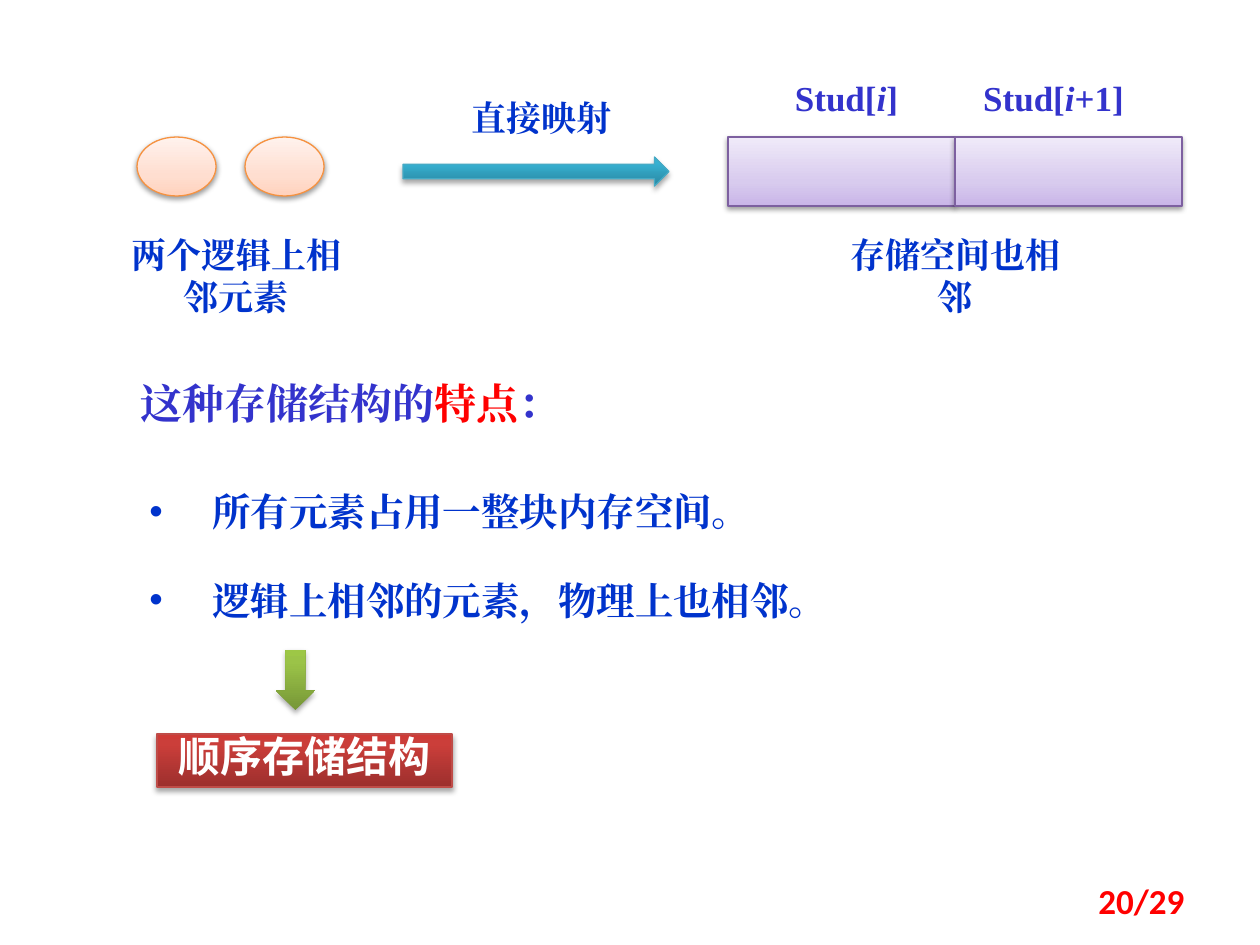
import pptx
import pptx.dml.color
import pptx.enum.shapes
import pptx.enum.text
import pptx.oxml
import pptx.oxml.ns
import pptx.util
from lxml import etree

RGBColor = pptx.dml.color.RGBColor
SHAPE = pptx.enum.shapes.MSO_SHAPE
ALIGN = pptx.enum.text.PP_ALIGN
ANCHOR = pptx.enum.text.MSO_ANCHOR

INDIGO = RGBColor(0x33, 0x33, 0xCC)
BLUE = RGBColor(0x00, 0x33, 0xCC)
RED = RGBColor(0xFF, 0x00, 0x00)
WHITE = RGBColor(0xFF, 0xFF, 0xFF)
VIOLET_LINE = RGBColor(0x7D, 0x60, 0xA0)
ORANGE_LINE = RGBColor(0xF6, 0x92, 0x40)
TEAL_LINE = RGBColor(0x46, 0xAA, 0xC5)
RED_LINE = RGBColor(0xBF, 0x4C, 0x48)

# Gradients run from bottom to top: position in percent, colour
VIOLET = [(0, RGBColor(0xC9, 0xB5, 0xE8)), (35, RGBColor(0xD8, 0xCB, 0xEE)), (100, RGBColor(0xF0, 0xEA, 0xF9))]
PEACH = [(0, RGBColor(0xFF, 0xD2, 0xBD)), (35, RGBColor(0xFF, 0xDE, 0xD0)), (100, RGBColor(0xFF, 0xF2, 0xED))]
TEAL = [(0, RGBColor(0x2A, 0x88, 0xA2)), (80, RGBColor(0x37, 0xB1, 0xD2)), (100, RGBColor(0x34, 0xB4, 0xD6))]
GREEN = [(0, RGBColor(0x77, 0x97, 0x37)), (80, RGBColor(0x9B, 0xC3, 0x48)), (100, RGBColor(0x9D, 0xC7, 0x46))]
BRICK = [(0, RGBColor(0x9C, 0x2F, 0x2D)), (80, RGBColor(0xCB, 0x3E, 0x3A)), (100, RGBColor(0xCE, 0x3B, 0x37))]

NAMESPACE = pptx.oxml.ns.nsdecls("a")
EMU_PER_PX = 914400 / 126


def add_shape(kind, box, gradient, line_color, shadow_distance=1.8, shadow_alpha=35):
    shape = slide.shapes.add_shape(kind, *[round(length * EMU_PER_PX) for length in box])
    if line_color is None:
        shape.line.fill.background()
    else:
        shape.line.color.rgb = line_color
        shape.line.width = pptx.util.Pt(0.75)
    stops = "".join(
        f'<a:gs pos="{position * 1000}"><a:srgbClr val="{color}"/></a:gs>'
        for position, color in gradient
    )
    fill = pptx.oxml.parse_xml(
        f'<a:gradFill {NAMESPACE} rotWithShape="1"><a:gsLst>{stops}</a:gsLst>'
        '<a:lin ang="16200000" scaled="0"/></a:gradFill>'
    )
    shadow = pptx.oxml.parse_xml(
        f'<a:effectLst {NAMESPACE}><a:outerShdw blurRad="{pptx.util.Pt(3.1)}" '
        f'dist="{pptx.util.Pt(shadow_distance)}" dir="5400000" rotWithShape="0">'
        f'<a:srgbClr val="000000"><a:alpha val="{shadow_alpha * 1000}"/></a:srgbClr>'
        '</a:outerShdw></a:effectLst>'
    )
    shape._element.spPr.find(pptx.oxml.ns.qn("a:prstGeom")).addnext(fill)
    shape._element.spPr.append(shadow)
    return shape


def write_text(paragraph, runs, size, color, paragraph_format, font_name="Times New Roman"):
    for name, value in paragraph_format.items():
        setattr(paragraph, name, value)
    for text, changes in runs:
        run = paragraph.add_run()
        run.text = text
        font_format = {"name": font_name, "size": pptx.util.Pt(size), "bold": True} | changes
        run.font.color.rgb = font_format.pop("color", color)
        for name, value in font_format.items():
            setattr(run.font, name, value)
        east_asian = etree.SubElement(run._r.rPr, pptx.oxml.ns.qn("a:ea"))
        east_asian.set("typeface", font_name)


presentation = pptx.Presentation()
presentation.slide_width = pptx.util.Inches(10)
presentation.slide_height = pptx.util.Inches(7.5)
slide = presentation.slides.add_slide(presentation.slide_layouts[6])

# Conclusion: label box under a down arrow
label = add_shape(SHAPE.RECTANGLE, (157, 734, 295, 53), BRICK, RED_LINE)
label.text_frame.vertical_anchor = ANCHOR.TOP
write_text(label.text_frame.paragraphs[0], [("顺序存储结构", {})], 24, WHITE,
           {"alignment": ALIGN.CENTER, "line_spacing": 0.8}, "Noto Sans CJK SC")
add_shape(SHAPE.DOWN_ARROW, (276, 650, 39, 60), GREEN, None)

# Mapping: two elements, an arrow, two storage cells
for column in range(2):
    add_shape(SHAPE.RECTANGLE, (728 + 227 * column, 137, 227, 69), VIOLET, VIOLET_LINE, 1.6, 38)
    add_shape(SHAPE.OVAL, (137 + 108 * column, 137, 79, 59), PEACH, ORANGE_LINE, 1.6, 38)
add_shape(SHAPE.RIGHT_ARROW, (403, 157, 266, 29), TEAL, TEAL_LINE)

# Text boxes: box, size, colour, paragraph format, paragraphs of runs
tight = {"alignment": ALIGN.CENTER, "line_spacing": 0.8}
centred = {"alignment": ALIGN.CENTER}
italic = {"italic": True}
text_boxes = [
    ((748, 78, 197, 47), 20, INDIGO, tight, [[("Stud[", {}), ("i", italic), ("]", {})]]),
    ((955, 78, 197, 47), 20, INDIGO, tight, [[("Stud[", {}), ("i", italic), ("+1]", {})]]),
    ((443, 98, 197, 47), 20, BLUE, tight, [[("直接映射", {})]]),
    ((118, 227, 237, 97), 20, BLUE, centred, [[("两个逻辑上相邻元素", {})]]),
    ((837, 227, 237, 97), 20, BLUE, centred, [[("存储空间也相邻", {})]]),
    ((128, 377, 546, 52), 24, INDIGO, {"line_spacing": 0.8},
     [[("这种存储结构的", {}), ("特点", {"color": RED}), ("：", {})]]),
    ((137, 455, 767, 165), 22, BLUE, {"line_spacing": 1.5},
     [[("所有元素占用一整块内存空间。", {})], [("逻辑上相邻的元素，物理上也相邻。", {})]]),
]
for box, size, color, paragraph_format, paragraphs in text_boxes:
    frame = slide.shapes.add_textbox(*[round(length * EMU_PER_PX) for length in box]).text_frame
    frame.word_wrap = True
    if "alignment" not in paragraph_format:
        frame.margin_top = round(10 * EMU_PER_PX)
        frame.margin_bottom = 0
    for index, runs in enumerate(paragraphs):
        paragraph = frame.add_paragraph() if index else frame.paragraphs[0]
        write_text(paragraph, runs, size, color, paragraph_format)
        if index:
            paragraph.space_before = pptx.util.Pt(size / 2)
        if len(paragraphs) > 1:
            properties = paragraph._p.get_or_add_pPr()
            properties.set("marL", str(round(63 * EMU_PER_PX)))
            properties.set("indent", str(round(-63 * EMU_PER_PX)))
            etree.SubElement(properties, pptx.oxml.ns.qn("a:buFont")).set("typeface", "Arial")
            etree.SubElement(properties, pptx.oxml.ns.qn("a:buChar")).set("char", "•")

# Page number
number_box = [round(length * EMU_PER_PX) for length in (903, 876, 294, 50)]
frame = slide.shapes.add_textbox(*number_box).text_frame
frame.word_wrap = True
frame.vertical_anchor = ANCHOR.MIDDLE
write_text(frame.paragraphs[0], [("20/29", {})], 20, RED, {"alignment": ALIGN.RIGHT}, "Calibri")

presentation.save("out.pptx")
